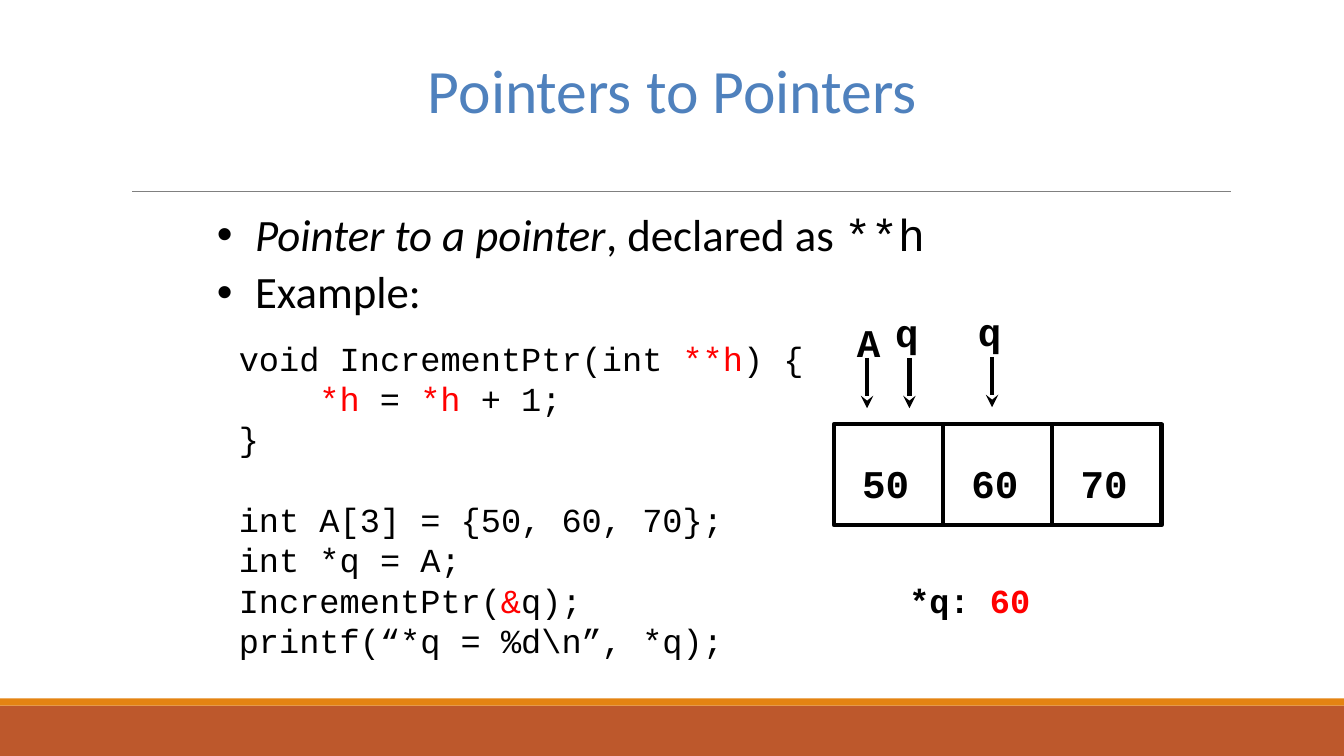
from collections import namedtuple
from lxml.etree import SubElement
from pptx import Presentation
from pptx.dml.color import RGBColor
from pptx.enum.shapes import MSO_CONNECTOR as Link, MSO_SHAPE as Form
from pptx.enum.text import MSO_ANCHOR as Anchor, MSO_AUTO_SIZE as Fit, PP_ALIGN as Align
from pptx.oxml.ns import qn
from pptx.util import Inches, Pt

# The grid has ten columns and ten rows to the inch.
Box = namedtuple("Box", "x y w h")
PAGE = Box(0, 0, 133.3, 75)
BLACK, RED, BLUE = "000000", "FF0000", "4F81BD"
SANS, MONO = "Calibri", "Courier New"


def cell(count):
    """Turn grid cells into a length."""
    return Inches(count / 10)


def place(box):
    """Turn a grid box into left, top, width and height."""
    return [cell(side) for side in box]


def tint(code):
    """Turn a hex string into a colour."""
    return RGBColor.from_string(code)


def add_run(para, text, size, face, hue=BLACK, bold=False, slant=False):
    """Add one styled run to a paragraph."""
    run = para.add_run()
    run.text = text
    font = run.font
    font.size, font.name, font.bold, font.italic = Pt(size), face, bold, slant
    font.color.rgb = tint(hue)


def add_text(shapes, box):
    """Add a wrapping text box and return its frame."""
    frame = shapes.add_textbox(*place(box)).text_frame
    frame.word_wrap = True
    return frame


def add_label(shapes, box, text):
    """Add a centred bold label in the code font."""
    para = add_text(shapes, box).paragraphs[0]
    para.alignment = Align.CENTER
    add_run(para, text, 28, MONO, bold=True)


def add_line(shapes, start, end, hue=BLACK, width=3, arrow=False):
    """Draw a straight line, with an arrowhead at its end if asked."""
    line = shapes.add_connector(Link.STRAIGHT, *[cell(n) for n in (*start, *end)])
    line.line.color.rgb = tint(hue)
    line.line.width = Pt(width)
    if arrow:
        SubElement(line.line._get_or_add_ln(), qn("a:tailEnd"), type="stealth")
    SubElement(line._element.spPr, qn("a:effectLst"))


def add_rect(shapes, box, fill=None):
    """Draw a filled bar, or a black frame when there is no fill."""
    rect = shapes.add_shape(Form.RECTANGLE, *place(box))
    rect.shadow.inherit = False
    if fill:
        rect.fill.solid()
        rect.fill.fore_color.rgb = tint(fill)
        rect.line.fill.background()
    else:
        rect.fill.background()
        rect.line.color.rgb = tint(BLACK)
        rect.line.width = Pt(3)


def add_trim(shapes, box):
    """Draw the rule under the title and the two bars at the foot."""
    base = box.y + box.h
    add_rect(shapes, Box(box.x, base - 5, box.w, 5), "BD582C")
    add_rect(shapes, Box(box.x, base - 5.7, box.w, 0.7), "E48312")
    add_line(shapes, (box.x + 13.1, box.y + 19), (box.x + 122.1, box.y + 19), "808080", 0.5)


def set_holder(holder, box, anchor):
    """Move a placeholder and return its frame."""
    holder.left, holder.top, holder.width, holder.height = place(box)
    frame = holder.text_frame
    frame.auto_size, frame.vertical_anchor = Fit.NONE, anchor
    return frame


def add_title(holder, box, text):
    """Fill the title."""
    para = set_holder(holder, box, Anchor.MIDDLE).paragraphs[0]
    para.alignment, para.line_spacing = Align.CENTER, 0.9
    add_run(para, text, 44, SANS, BLUE)


def add_list(holder, box, items):
    """Fill the body with bullets; each item is a list of runs."""
    frame = set_holder(holder, box, Anchor.TOP)
    for row, item in enumerate(items):
        para = frame.add_paragraph() if row else frame.paragraphs[0]
        para.line_spacing, para.space_before = 0.9, Pt(6.4 if row else 0)
        props = para._p.get_or_add_pPr()
        props.set("marL", str(Inches(0.38)))
        props.set("indent", str(-Inches(0.38)))
        ink = SubElement(props, qn("a:buClr"))
        SubElement(ink, qn("a:srgbClr"), val=BLACK)
        SubElement(props, qn("a:buFont"), typeface="Arial")
        SubElement(props, qn("a:buChar"), char="\u2022")
        for text, face, slant in item:
            add_run(para, text, 32, face, slant=slant)


def add_code(shapes, box, blocks, size=24):
    """Write code blocks one line apart; a line is its indent and its runs."""
    frame = add_text(shapes, box)
    pitch = Pt(size * 1.2)
    first = True
    for block in blocks:
        for row, (inset, runs) in enumerate(block):
            para = frame.paragraphs[0] if first else frame.add_paragraph()
            para.line_spacing = pitch
            if row == 0 and not first:
                para.space_before = pitch
            if inset:
                props = para._p.get_or_add_pPr()
                props.set("marL", str(Pt(inset * size * 0.6)))
                props.set("indent", "0")
            for text, hue in runs:
                add_run(para, text, size, MONO, hue)
            first = False


def add_array(shapes, box, values):
    """Draw a row of equal cells with their values."""
    group = shapes.add_group_shape().shapes
    add_rect(group, box)
    step = box.w / len(values)
    for col, value in enumerate(values):
        left = box.x + col * step
        if col:
            add_line(group, (left, box.y + box.h), (left, box.y))
        add_label(group, Box(left + 1.8, box.y + 3, 6.7, 5.7), value)


def add_mark(shapes, box, name, stem, drop):
    """Draw a pointer name with an arrow below it."""
    group = shapes.add_group_shape().shapes
    add_label(group, box, name)
    x, y = box.x + stem, box.y + drop
    add_line(group, (x, y), (x, y + 5), arrow=True)


def add_result(shapes, box, name, value):
    """Write the value that is printed."""
    para = add_text(shapes, box).paragraphs[0]
    add_run(para, name, 24, MONO, bold=True)
    add_run(para, value, 24, MONO, RED, bold=True)


ITEMS = [
    [("Pointer to a pointer", SANS, True), (", declared as ", SANS, False), ("**h", MONO, False)],
    [("Example:", SANS, False)],
]
CODE = [
    [
        (0, [("void IncrementPtr(int ", BLACK), ("**h", RED), (") {", BLACK)]),
        (4, [("*h", RED), (" = ", BLACK), ("*h", RED), (" + 1;", BLACK)]),
        (0, [("}", BLACK)]),
    ],
    [
        (0, [("int A[3] = {50, 60, 70};", BLACK)]),
        (0, [("int *q = A;", BLACK)]),
        (0, [("IncrementPtr(", BLACK), ("&", RED), ("q);", BLACK)]),
        (0, [("printf(\u201c*q = %d\\n\u201d, *q);", BLACK)]),
    ],
]
MARKS = [("A", 84, 31.1, 2, 4.4), ("q", 87.8, 30.1, 2.4, 5.4), ("q", 96, 30, 2.4, 5.4)]

deck = Presentation()
deck.slide_width, deck.slide_height = cell(PAGE.w), cell(PAGE.h)
slide = deck.slides.add_slide(deck.slide_layouts[1])
parts = slide.shapes
add_trim(parts, PAGE)
add_title(parts.title, Box(21.7, 3, 90, 12.5), "Pointers to Pointers")
add_list(slide.placeholders[1], Box(20.5, 20.6, 90, 53), ITEMS)
add_code(parts, Box(22.7, 33, 58.5, 33.3), CODE)
add_result(parts, Box(89.2, 57, 16, 5), "*q: ", "60")
add_array(parts, Box(82.7, 42.1, 32.5, 10), ["50", "60", "70"])
for name, x, y, stem, drop in MARKS:
    add_mark(parts, Box(x, y, 4.3, 5.7), name, stem, drop)
deck.save("out.pptx")
